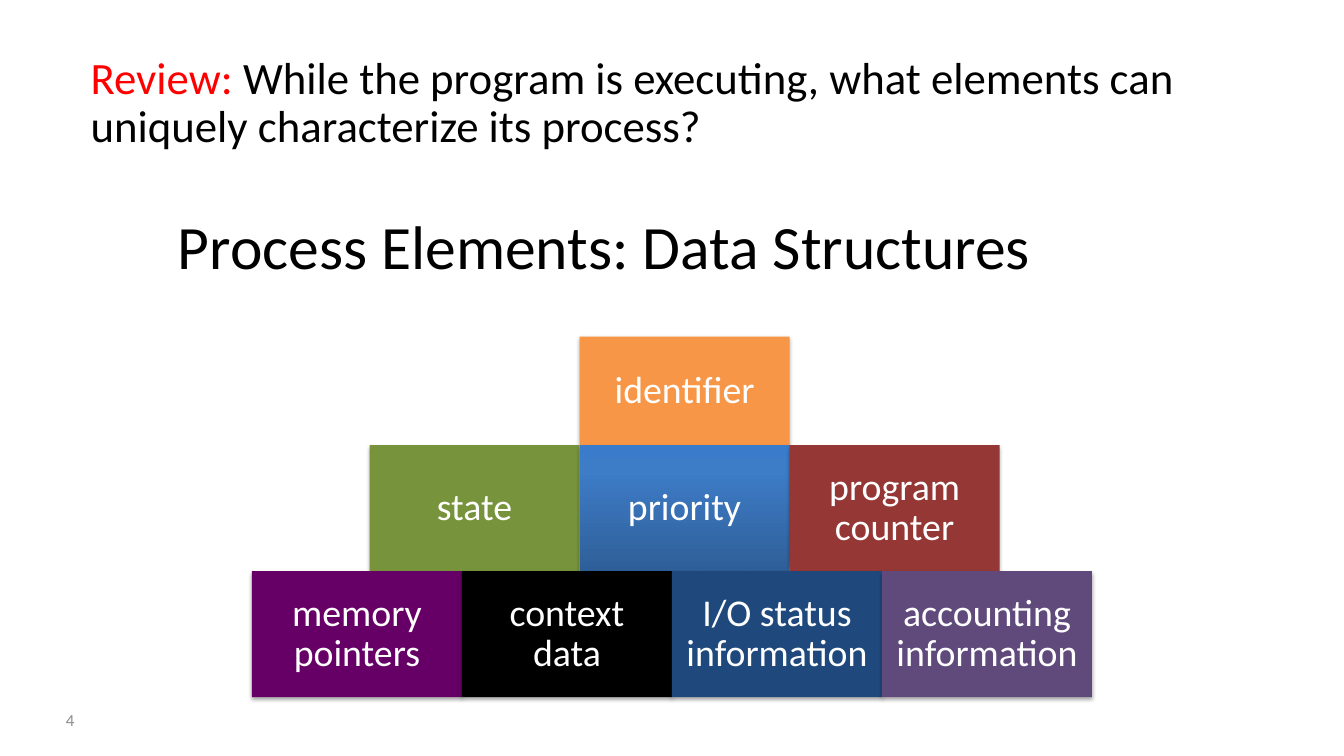
from copy import deepcopy

from lxml.etree import SubElement
from pptx import Presentation
from pptx.dml.color import RGBColor
from pptx.enum.shapes import MSO_SHAPE as Preset
from pptx.enum.text import MSO_ANCHOR as Anchor, PP_ALIGN as Align
from pptx.oxml.ns import qn
from pptx.util import Pt

COLORS = {
    "text": "000000", "review": "FF0000", "number": "8C8C8C", "label": "FFFFFF",
    "identifier": "F79646", "state": "77933C", "program counter": "953735",
    "memory pointers": "660066", "context data": "000000",
    "I/O status information": "1F497D", "accounting information": "604A7B",
}
PRIORITY_STOPS = [(0, "2F5F99"), (0.8, "3D7CC7"), (1, "3A7CCB")]

# Pyramid rows: left, top, height, elements
BRICK_WIDTH = 150
ROWS = [
    (414, 240.5, 77.5, ["identifier"]),
    (264, 318, 90, ["state", "priority", "program counter"]),
    (180, 408, 90, ["memory pointers", "context data",
                    "I/O status information", "accounting information"]),
]
BRICK_FRAME = {
    "word_wrap": True, "vertical_anchor": Anchor.MIDDLE,
    "margin_left": Pt(8), "margin_right": Pt(8),
    "margin_top": Pt(8), "margin_bottom": Pt(8),
}


def apply(target, values):
    for name, value in values.items():
        setattr(target, name, value)


def write(paragraph, words, size, color):
    run = paragraph.add_run()
    run.text = words
    apply(run.font, {"name": "Calibri", "size": Pt(size)})
    run.font.color.rgb = RGBColor.from_string(COLORS[color])


def add_text(slide, box, runs, size, anchor=Anchor.MIDDLE, spacing=1.0):
    frame = slide.shapes.add_textbox(*map(Pt, box)).text_frame
    apply(frame, {"word_wrap": True, "vertical_anchor": anchor})
    paragraph = frame.paragraphs[0]
    paragraph.line_spacing = spacing
    for words, color in runs:
        write(paragraph, words, size, color)


def fill_priority(fill):
    fill.gradient()
    fill.gradient_angle = 90
    stop_list = fill._xPr.find(qn("a:gradFill")).find(qn("a:gsLst"))
    stop_list.append(deepcopy(stop_list[-1]))
    for stop, (position, color) in zip(fill.gradient_stops, PRIORITY_STOPS):
        stop.position = position
        stop.color.rgb = RGBColor.from_string(color)


def add_soft_shadow(shape):
    shape.shadow.inherit = False
    effects = shape._element.spPr.find(qn("a:effectLst"))
    shadow = SubElement(effects, qn("a:outerShdw"), blurRad=str(Pt(3.1)),
                        dist=str(Pt(1.8)), dir="5400000", rotWithShape="0")
    black = SubElement(shadow, qn("a:srgbClr"), val="000000")
    SubElement(black, qn("a:alpha"), val="35000")


def add_brick(slide, element, left, top, height):
    brick = slide.shapes.add_shape(
        Preset.RECTANGLE, Pt(left), Pt(top), Pt(BRICK_WIDTH), Pt(height))
    if element == "priority":
        fill_priority(brick.fill)
    else:
        brick.fill.solid()
        brick.fill.fore_color.rgb = RGBColor.from_string(COLORS[element])
    brick.line.fill.background()
    add_soft_shadow(brick)
    apply(brick.text_frame, BRICK_FRAME)
    paragraph = brick.text_frame.paragraphs[0]
    apply(paragraph, {"alignment": Align.CENTER, "line_spacing": 0.9})
    write(paragraph, element, 27, "label")


def main():
    deck = Presentation()
    apply(deck, {"slide_width": Pt(960), "slide_height": Pt(540)})
    slide = deck.slides.add_slide(deck.slide_layouts[6])

    # Title and review question
    add_text(slide, (120, 129.6, 684, 90),
             [("Process Elements: Data Structures", "text")], 44)
    add_text(slide, (57.6, 36, 840, 78),
             [("Review: ", "review"),
              ("While the program is executing, what elements can "
               "uniquely characterize its process?", "text")],
             32, Anchor.TOP, 0.9)

    # Pyramid of process elements
    for left, top, height, elements in ROWS:
        for column, element in enumerate(elements):
            add_brick(slide, element, left + column * BRICK_WIDTH, top, height)

    # Slide number
    add_text(slide, (40, 500, 224, 28.8), [("4", "number")], 12)

    deck.save("out.pptx")


if __name__ == "__main__":
    main()
